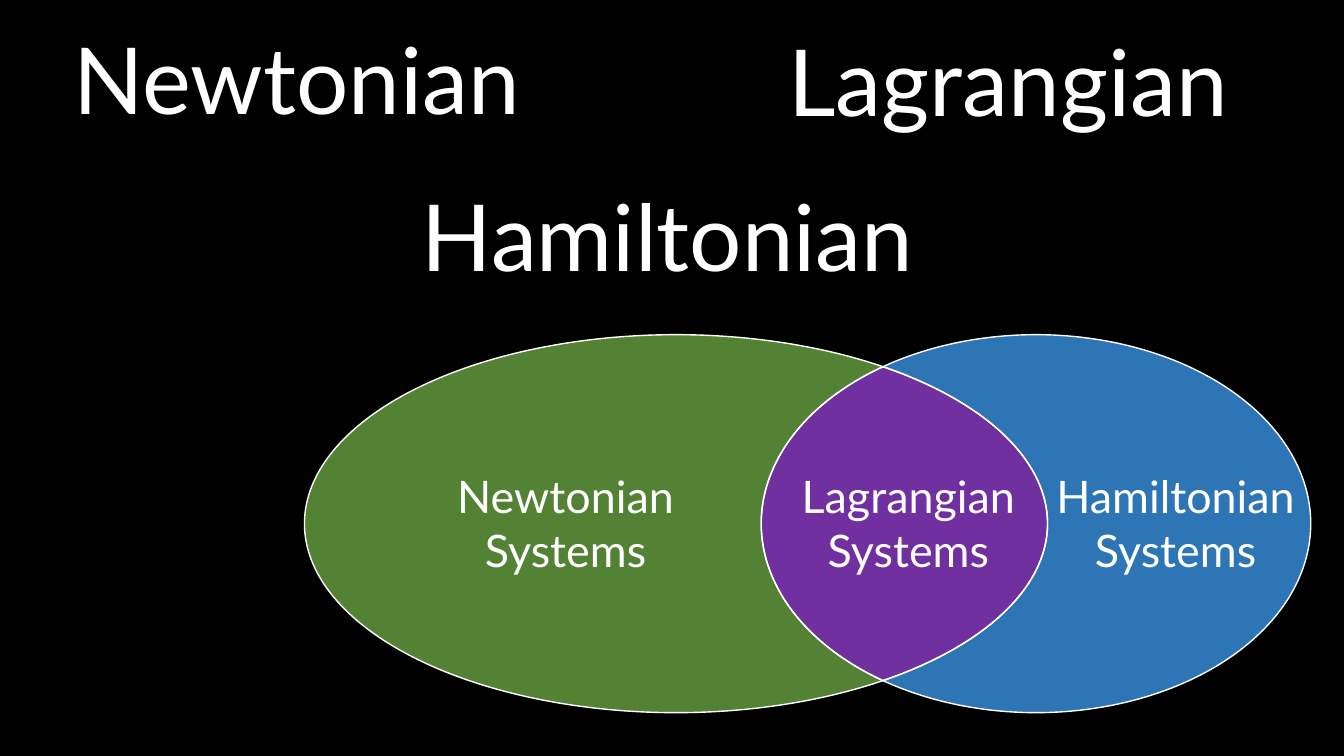
import math

from pptx import Presentation
from pptx.dml.color import RGBColor
from pptx.enum import shapes, text
from pptx.util import Inches, Pt

COLORS = {"black": "000000", "white": "FFFFFF", "green": "548235",
          "blue": "2E75B6", "purple": "7030A0"}
FONT = "Lato"
LEFT, CENTER, RIGHT = text.PP_ALIGN.LEFT, text.PP_ALIGN.CENTER, text.PP_ALIGN.RIGHT

HEADINGS = [
    ("Hamiltonian", (3.7, 1.73, 5.46, 1.21), RIGHT),
    ("Newtonian", (0.63, 0.17, 4.79, 1.21), LEFT),
    ("Lagrangian", (7.72, 0.19, 4.87, 1.21), LEFT),
]
HAMILTONIAN_OVAL = (7.55, 3.32, 5.45, 3.75)
NEWTONIAN_OVAL = (3.02, 3.32, 7.37, 3.75)
REGION_LABELS = [("Newtonian", 4.31, 2.6), ("Lagrangian", 7.63, 2.76),
                 ("Hamiltonian", 10.24, 2.84)]
LABEL_TOP, LABEL_HEIGHT = 4.6, 1.18
ARC_STEPS = 60


def rgb(name):
    return RGBColor.from_string(COLORS[name])


def add_words(parent, lines, box, size, align, wrap):
    frame = parent.add_textbox(*map(Inches, box)).text_frame
    frame.word_wrap = wrap
    frame.auto_size = text.MSO_AUTO_SIZE.SHAPE_TO_FIT_TEXT
    for index, line in enumerate(lines):
        paragraph = frame.add_paragraph() if index else frame.paragraphs[0]
        paragraph.alignment = align
        run = paragraph.add_run()
        run.text = line
        run.font.name = FONT
        run.font.size = Pt(size)
        run.font.color.rgb = rgb("white")


def paint(shape, fill=None, line=None):
    shape.shadow.inherit = False
    if fill:
        shape.fill.solid()
        shape.fill.fore_color.rgb = rgb(fill)
    else:
        shape.fill.background()
    if line:
        shape.line.color.rgb = rgb(line)
        shape.line.width = Pt(1)
    else:
        shape.line.fill.background()


def add_oval(parent, box, fill=None, line=None):
    oval = parent.add_shape(shapes.MSO_SHAPE.OVAL, *map(Inches, box))
    paint(oval, fill, line)


def overlap_outline(left_oval, right_oval):
    """Return the points around the area that two ovals of equal height share."""
    left_radius, right_radius = left_oval[2] / 2, right_oval[2] / 2
    left_center = left_oval[0] + left_radius
    right_center = right_oval[0] + right_radius
    half_height = left_oval[3] / 2
    middle = left_oval[1] + half_height
    limit = math.acos((right_center - left_center) / (left_radius + right_radius))
    angles = [limit * (2 * step / ARC_STEPS - 1) for step in range(ARC_STEPS + 1)]
    right_edge = [(left_center + left_radius * math.cos(a),
                   middle + half_height * math.sin(a)) for a in angles]
    left_edge = [(right_center - right_radius * math.cos(a),
                  middle - half_height * math.sin(a)) for a in angles]
    return right_edge + left_edge[1:-1]


def add_overlap(parent):
    points = [(Inches(x), Inches(y))
              for x, y in overlap_outline(NEWTONIAN_OVAL, HAMILTONIAN_OVAL)]
    builder = parent.build_freeform(*points[0])
    builder.add_line_segments(points[1:], close=True)
    paint(builder.convert_to_shape(), "purple", "white")


def main():
    deck = Presentation()
    deck.slide_width, deck.slide_height = Inches(13.33), Inches(7.5)
    slide = deck.slides.add_slide(deck.slide_layouts[6])
    slide.background.fill.solid()
    slide.background.fill.fore_color.rgb = rgb("black")

    for heading, box, align in HEADINGS:
        add_words(slide.shapes, [heading], box, 66, align, False)

    diagram = slide.shapes.add_group_shape().shapes
    add_oval(diagram, HAMILTONIAN_OVAL, fill="blue")
    add_oval(diagram, NEWTONIAN_OVAL, fill="green")
    add_overlap(diagram)
    for region, left, width in REGION_LABELS:
        box = (left, LABEL_TOP, width, LABEL_HEIGHT)
        add_words(diagram, [region, "Systems"], box, 32, CENTER, True)
    for oval in (HAMILTONIAN_OVAL, NEWTONIAN_OVAL):
        add_oval(diagram, oval, line="white")

    deck.save("out.pptx")


if __name__ == "__main__":
    main()
